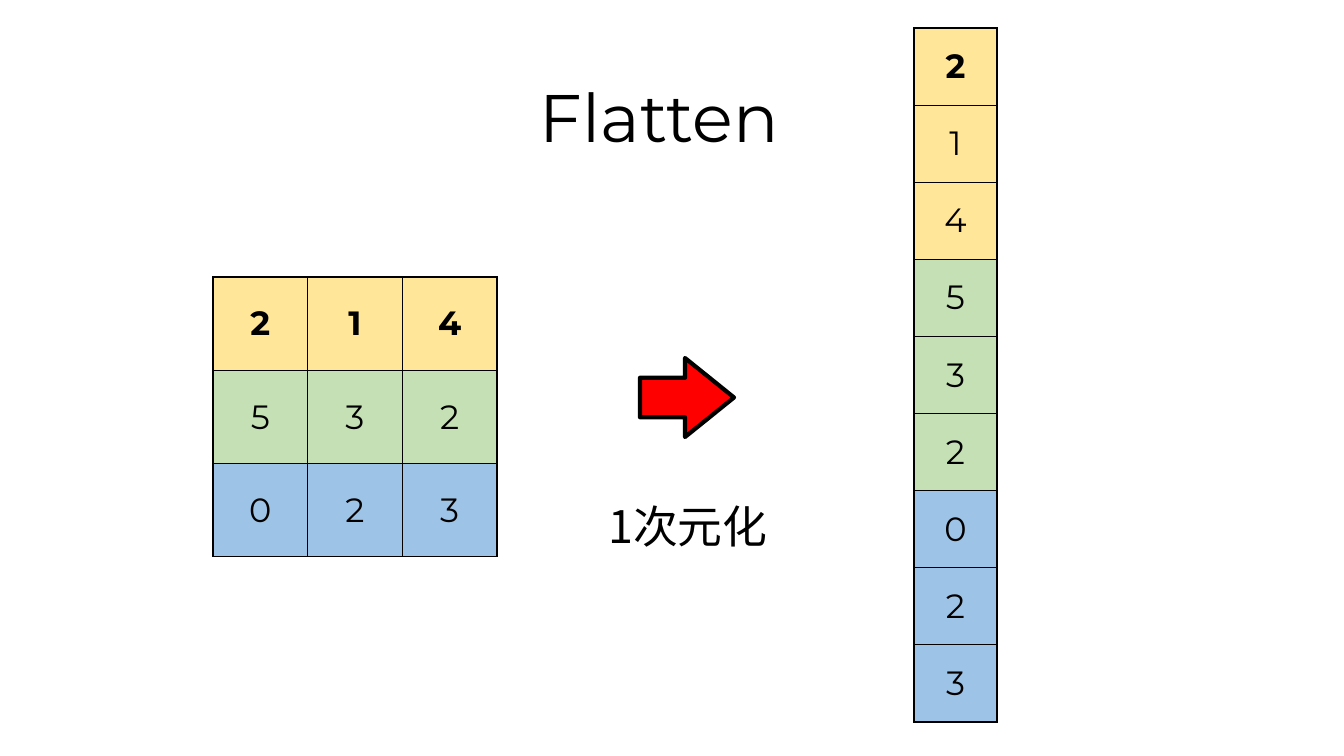
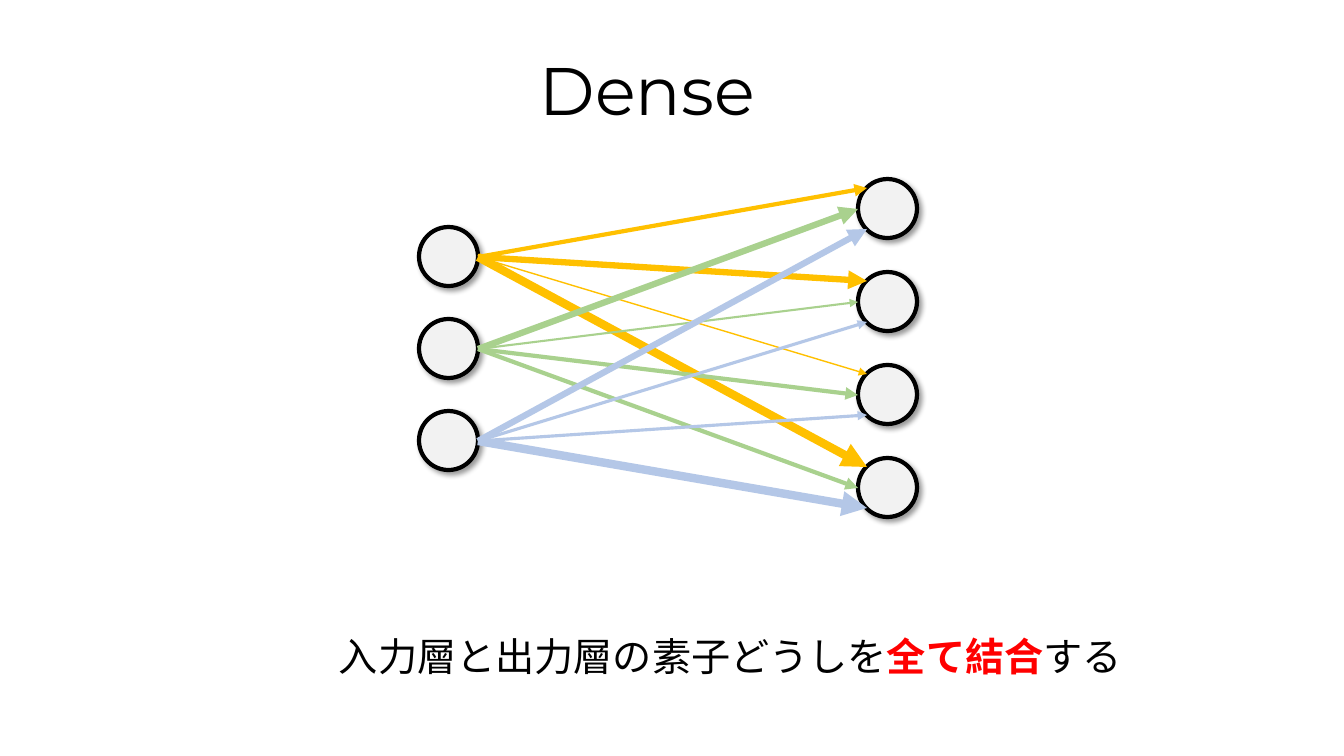
import pptx
import pptx.util
import pptx.dml.color
import pptx.enum.shapes
import pptx.enum.text
import pptx.oxml
import pptx.oxml.ns

SCALE = 12192000 / 1344  # EMU per pixel
NS = 'xmlns:a="http://schemas.openxmlformats.org/drawingml/2006/main"'
LATIN, CJK = "Montserrat", "Noto Sans CJK JP"
COLORS = {
    "black": "000000", "red": "FF0000", "node": "F2F2F2",
    "yellow": "FFE699", "green": "C5E0B4", "blue": "9DC3E6",
    "gold": "FFC000", "leaf": "A9D18E", "sky": "B4C7E7",
}
SHAPE = pptx.enum.shapes.MSO_SHAPE
ALIGN = pptx.enum.text.PP_ALIGN
ANCHOR = pptx.enum.text.MSO_ANCHOR
AUTO = pptx.enum.text.MSO_AUTO_SIZE


def px(n):
    return pptx.util.Emu(round(n * SCALE))


def rgb(name):
    return pptx.dml.color.RGBColor.from_string(COLORS[name])


def assign(obj, values):
    for name, value in values.items():
        setattr(obj, name, value)


def add_xml(parent, xml):
    """Append an element; {ns} stands for the drawing namespace."""
    parent.append(pptx.oxml.parse_xml(xml.format(ns=NS)))


class Deck:
    title_format = {"line_spacing": 0.8, "space_before": pptx.util.Pt(10)}

    def __init__(self):
        self.prs = pptx.Presentation()
        self.prs.slide_width, self.prs.slide_height = px(1344), px(756)

    def slide(self, title, top):
        self.s = self.prs.slides.add_slide(self.prs.slide_layouts[6])
        self.text([(title, {})], (530, top, 283, 79), 48, LATIN, self.title_format)

    def run(self, p, text, size, font, color="black", bold=False):
        r = p.add_run()
        r.text = text
        assign(r.font, {"size": pptx.util.Pt(size), "name": font, "bold": bold})
        r.font.color.rgb = rgb(color)
        add_xml(r.font._element, '<a:ea {ns} typeface="%s"/>' % font)

    def text(self, runs, box, size, font, paragraph={}, frame={}):
        sp = self.s.shapes.add_textbox(*map(px, box))
        tf = sp.text_frame
        assign(tf, {"word_wrap": True, **frame})
        p = tf.paragraphs[0]
        assign(p, paragraph)
        for text, style in runs:
            self.run(p, text, size, font, **style)

    def shape(self, kind, box, fill, adjustments=(), shadow=False):
        sp = self.s.shapes.add_shape(kind, *map(px, box))
        for i, value in enumerate(adjustments):
            sp.adjustments[i] = value
        sp.fill.solid()
        sp.fill.fore_color.rgb = rgb(fill)
        sp.line.color.rgb = rgb("black")
        sp.line.width = pptx.util.Pt(3)
        sp.shadow.inherit = False
        if shadow:
            effects = sp._element.spPr.find(pptx.oxml.ns.qn("a:effectLst"))
            add_xml(effects, '<a:outerShdw {ns} blurRad="50800" dist="38100" dir="2700000" '
                    'algn="tl" rotWithShape="0"><a:srgbClr val="000000">'
                    '<a:alpha val="40000"/></a:srgbClr></a:outerShdw>')

    def arrow(self, start, end, color, width):
        straight = pptx.enum.shapes.MSO_CONNECTOR.STRAIGHT
        line = self.s.shapes.add_connector(straight, *map(px, start + end))
        line.line.color.rgb = rgb(color)
        line.line.width = pptx.util.Pt(width)
        add_xml(line.line._get_or_add_ln(), '<a:tailEnd {ns} type="triangle"/>')
        add_xml(line._element.spPr, "<a:effectLst {ns}/>")

    def table(self, rows, fills, box):
        tbl = self.s.shapes.add_table(len(rows), len(rows[0]), *map(px, box)).table
        assign(tbl, {"first_row": False, "horz_banding": False})
        for i, row in enumerate(rows):
            for j, value in enumerate(row):
                self.cell(tbl.cell(i, j), str(value), fills[i], bold=i == 0)

    def cell(self, cell, text, fill, bold):
        cell.vertical_anchor = ANCHOR.MIDDLE
        p = cell.text_frame.paragraphs[0]
        p.alignment = ALIGN.CENTER
        self.run(p, text, 24, LATIN, bold=bold)
        # Borders come before the fill in the cell properties
        for side in "LRTB":
            add_xml(cell._tc.get_or_add_tcPr(), '<a:ln%s {ns} w="12700"><a:solidFill>'
                    '<a:srgbClr val="000000"/></a:solidFill></a:ln%s>' % (side, side))
        cell.fill.solid()
        cell.fill.fore_color.rgb = rgb(fill)


deck = Deck()

# Flatten: a 3 x 3 matrix becomes one column
deck.slide("Flatten", 86)
matrix = [[2, 1, 4], [5, 3, 2], [0, 2, 3]]
bands = ["yellow", "green", "blue"]
deck.shape(SHAPE.RIGHT_ARROW, (640, 358, 94, 79), "red", (0.5, 0.62))
deck.table(matrix, bands, (213, 277, 284, 280))
deck.table([[value] for row in matrix for value in row],
           [band for band in bands for _ in matrix[0]], (914, 28, 83, 694))
deck.text([("1次元化", {})], (570, 491, 236, 67), 32, CJK,
          {"alignment": ALIGN.CENTER, "line_spacing": 0.9},
          {"vertical_anchor": ANCHOR.BOTTOM})

# Dense: every input node is joined to every output node
deck.slide("Dense", 59)
NODE, IN_X, OUT_X = 59, 419, 858
input_tops = [227 + 92 * i for i in range(3)]
output_tops = [179 + 93 * i for i in range(4)]
for x, tops in ((IN_X, input_tops), (OUT_X, output_tops)):
    for top in tops:
        deck.shape(SHAPE.FLOWCHART_CONNECTOR, (x, top, NODE, NODE), "node", shadow=True)

# Per input: colour, arrival point on the output node, line widths
links = [
    ("gold", (9, 9), (3, 4.5, 1, 6)),
    ("leaf", (0, 30), (4.5, 1.5, 3, 3)),
    ("sky", (9, 50), (4.5, 2.25, 2.25, 6)),
]
for in_top, (color, (dx, dy), widths) in zip(input_tops, links):
    for out_top, width in zip(output_tops, widths):
        deck.arrow((IN_X + NODE, in_top + 30), (OUT_X + dx, out_top + dy), color, width)

deck.text([("入力層と出力層の素子どうしを", {}),
           ("全て結合", {"color": "red", "bold": True}),
           ("する", {})], (329, 627, 812, 57), 28, CJK,
          frame={"word_wrap": False, "auto_size": AUTO.SHAPE_TO_FIT_TEXT})

deck.prs.save("out.pptx")
